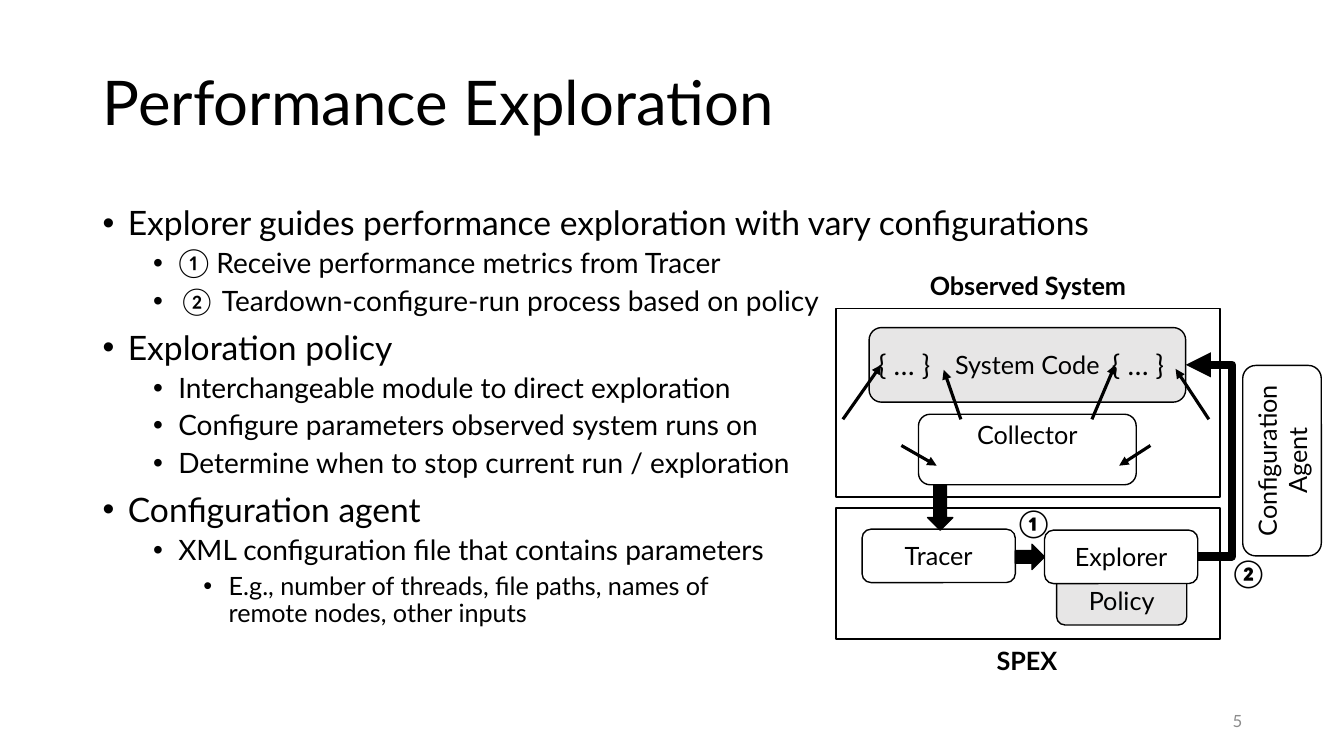
import pptx
import pptx.util
import pptx.dml.color
import pptx.enum.shapes
import pptx.enum.text
import pptx.oxml
import pptx.oxml.ns

SHAPE = pptx.enum.shapes.MSO_SHAPE
CONNECTOR = pptx.enum.shapes.MSO_CONNECTOR
ALIGN = pptx.enum.text.PP_ALIGN
ANCHOR = pptx.enum.text.MSO_ANCHOR
BLACK, WHITE, SHADE, MUTED = "000000", "FFFFFF", "E7E6E6", "8C8C8C"


def px(n):
    return pptx.util.Emu(n * 9144)


def rgb(color):
    return pptx.dml.color.RGBColor.from_string(color)


def append(parent, tag, **attrs):
    el = pptx.oxml.ns.qn(tag)
    child = parent.makeelement(el, attrs)
    parent.append(child)
    return child


class Deck:
    font = "Lato"
    label_size = 18
    body_sizes = (24, 20, 18)

    def __init__(self):
        self.prs = pptx.Presentation()
        self.prs.slide_width, self.prs.slide_height = px(1333), px(750)
        self.slide = None

    def add_slide(self):
        self.slide = self.prs.slides.add_slide(self.prs.slide_layouts[5])

    def run(self, p, text, size, color=BLACK, bold=False, font=None):
        r = p.add_run()
        r.text = text
        r.font.size = pptx.util.Pt(size)
        r.font.name = font or self.font
        r.font.bold = bold
        r.font.color.rgb = rgb(color)

    def title(self, text, x, y, w, h):
        sp = self.slide.shapes.title
        sp.left, sp.top, sp.width, sp.height = map(px, (x, y, w, h))
        tf = sp.text_frame
        tf.auto_size = pptx.enum.text.MSO_AUTO_SIZE.NONE
        tf.vertical_anchor = ANCHOR.MIDDLE
        p = tf.paragraphs[0]
        p.alignment = ALIGN.LEFT
        p.line_spacing = 0.9
        self.run(p, text, 44)

    def bullets(self, items, x, y, w, h):
        tf = self.slide.shapes.add_textbox(*map(px, (x, y, w, h))).text_frame
        tf.word_wrap = True
        for i, (level, lines) in enumerate(items):
            p = tf.add_paragraph() if i else tf.paragraphs[0]
            p.level = level
            pPr = p._p.get_or_add_pPr()
            pPr.set("marL", str(px(25 + 50 * level)))
            pPr.set("indent", str(px(-25)))
            append(pPr, "a:buFont", typeface="Arial")
            append(pPr, "a:buChar", char="•")
            p.line_spacing = 0.9
            if i:
                p.space_before = pptx.util.Pt(5 if level else 10)
            for j, line in enumerate(lines):
                if j:
                    p.add_line_break()
                for text, font in line:
                    self.run(p, text, self.body_sizes[level], font=font)

    def text(self, text, x, y, w, h, size=label_size, align=ALIGN.CENTER,
             wrap=True, anchor=ANCHOR.TOP, **style):
        tf = self.slide.shapes.add_textbox(*map(px, (x, y, w, h))).text_frame
        tf.word_wrap = wrap
        tf.vertical_anchor = anchor
        p = tf.paragraphs[0]
        p.alignment = align
        self.run(p, text, size, **style)

    def shape(self, kind, x, y, w, h, fill=WHITE, rotation=0):
        sp = self.slide.shapes.add_shape(kind, *map(px, (x, y, w, h)))
        sp.shadow.inherit = False
        sp.fill.solid()
        sp.fill.fore_color.rgb = rgb(fill)
        sp.line.color.rgb = rgb(BLACK)
        sp.line.width = pptx.util.Pt(1)
        sp.rotation = rotation
        return sp

    def box(self, lines, x, y, w, h, fill=WHITE, rotation=0, anchor=ANCHOR.MIDDLE):
        tf = self.shape(SHAPE.ROUNDED_RECTANGLE, x, y, w, h, fill, rotation).text_frame
        tf.word_wrap = True
        tf.vertical_anchor = anchor
        if anchor == ANCHOR.TOP:
            tf.margin_top = px(2)
        for i, line in enumerate(lines):
            p = tf.add_paragraph() if i else tf.paragraphs[0]
            p.alignment = ALIGN.CENTER
            self.run(p, line, self.label_size)

    def arrow(self, x1, y1, x2, y2, width=2.25, bend=None):
        kind = CONNECTOR.STRAIGHT if bend is None else CONNECTOR.ELBOW
        cxn = self.slide.shapes.add_connector(kind, *map(px, (x1, y1, x2, y2)))
        cxn.line.color.rgb = rgb(BLACK)
        cxn.line.width = pptx.util.Pt(width)
        spPr = cxn._element.spPr
        append(cxn.line._ln, "a:tailEnd", type="triangle")
        append(spPr, "a:effectLst")
        if bend is not None:
            guides = spPr.find(".//" + pptx.oxml.ns.qn("a:avLst"))
            ratio = round((bend - x1) / (x2 - x1) * 100000)
            append(guides, "a:gd", name="adj1", fmla=f"val {ratio}")


def plain(*lines):
    return [[(line, None)] for line in lines]


def main():
    deck = Deck()
    deck.add_slide()
    deck.title("Performance Exploration", 92, 32, 1150, 145)
    deck.bullets([
        (0, plain("Explorer guides performance exploration with vary configurations")),
        (1, plain("① Receive performance metrics from Tracer")),
        (1, [[("② ", "Calibri"),
              ("Teardown-configure-run process based on policy", None)]]),
        (0, plain("Exploration policy")),
        (1, plain("Interchangeable module to direct exploration")),
        (1, plain("Configure parameters observed system runs on")),
        (1, plain("Determine when to stop current run / exploration")),
        (0, plain("Configuration agent")),
        (1, plain("XML configuration file that contains parameters")),
        (2, plain("E.g., number of threads, file paths, names of",
                  "remote nodes, other inputs")),
    ], 92, 200, 1150, 476)
    deck.text("5", 942, 695, 300, 40, size=12, align=ALIGN.RIGHT,
              anchor=ANCHOR.MIDDLE, color=MUTED)

    deck.shape(SHAPE.RECTANGLE, 829, 306, 381, 187)
    deck.box(["System Code"], 862, 325, 314, 74, SHADE)
    deck.text("Observed System", 829, 263, 381, 40, bold=True)
    deck.box(["Collector"], 911, 411, 216, 70, anchor=ANCHOR.TOP)
    for x in (861, 1093):
        deck.text("{ … }", x, 340, 88, 44, size=20, align=ALIGN.LEFT, wrap=False)
    for ends in ((836, 416, 874, 362), (953, 416, 936, 367),
                 (1083, 416, 1106, 362), (1199, 416, 1166, 366),
                 (894, 442, 929, 462), (1141, 442, 1110, 462)):
        deck.arrow(*ends)

    deck.shape(SHAPE.RECTANGLE, 829, 504, 381, 130)
    deck.text("SPEX", 828, 635, 381, 40, bold=True)
    deck.box(["Tracer"], 855, 525, 152, 53)
    deck.shape(SHAPE.DOWN_ARROW, 920, 481, 25, 45, BLACK)
    deck.shape(SHAPE.DOWN_ARROW, 1009, 538, 25, 29, BLACK, 270)
    deck.box(["Policy"], 1048, 571, 129, 49, SHADE)
    deck.box(["Explorer"], 1036, 526, 152, 53)
    deck.arrow(1188, 552, 1176, 362, width=6, bend=1222)
    deck.box(["Configuration", "Agent"], 1177, 418, 189, 78, rotation=270)
    for number, x, y in (("①", 997, 497), ("②", 1210, 546)):
        deck.text(number, x, y, 48, 44, size=20, wrap=False, bold=True, font="Calibri")

    deck.prs.save("out.pptx")


if __name__ == "__main__":
    main()
